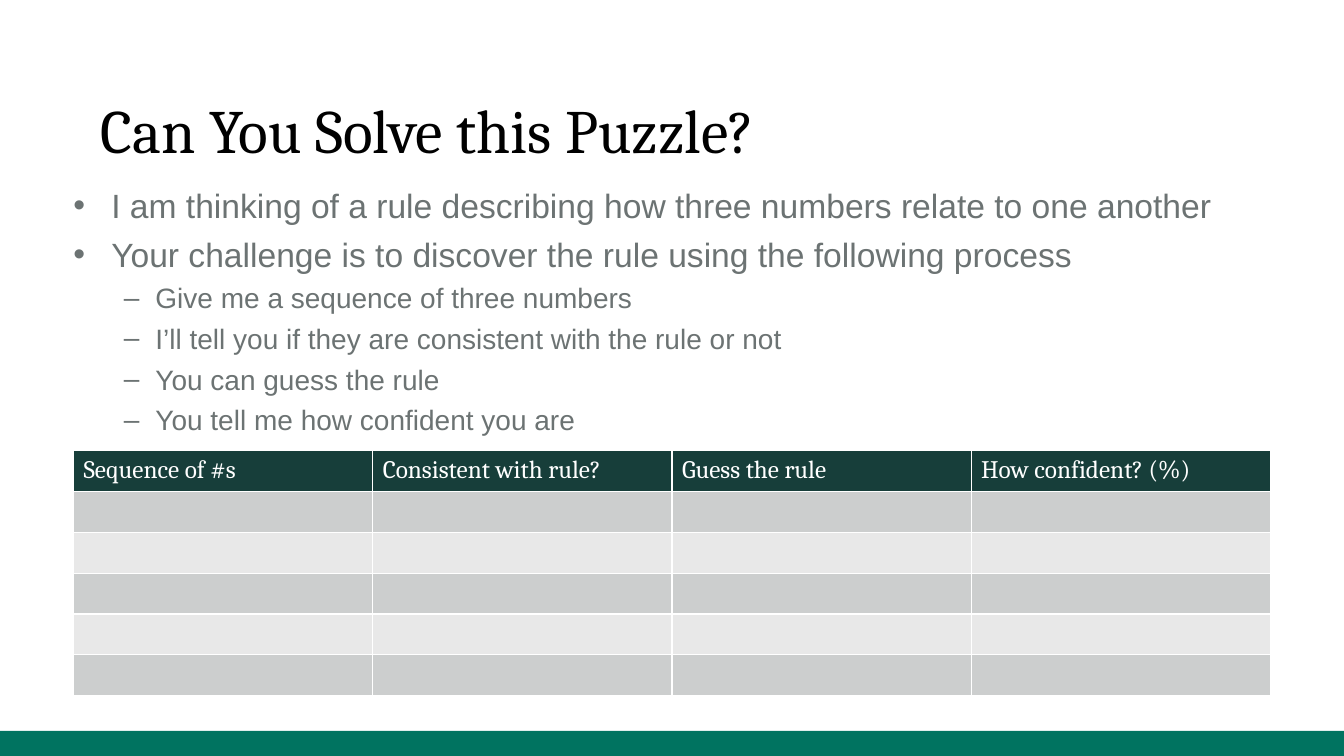
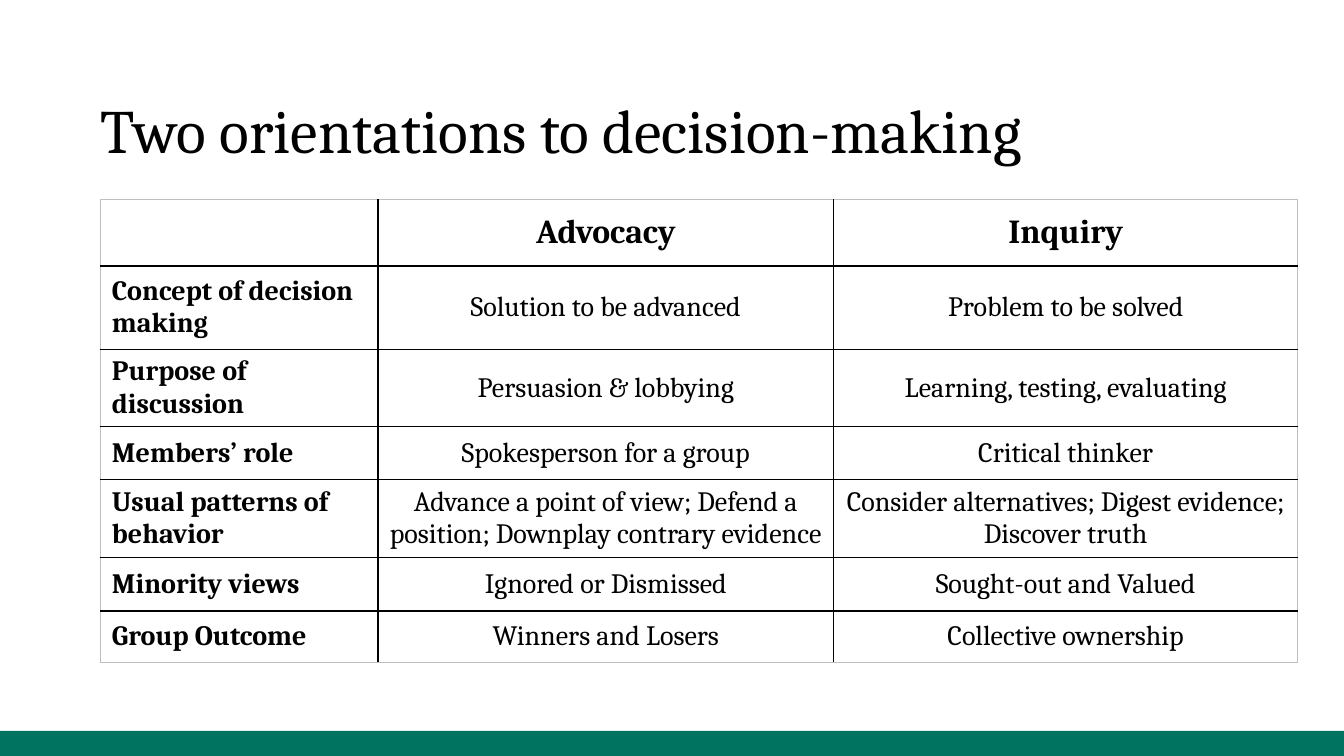
from dataclasses import dataclass

from lxml.etree import SubElement
from pptx import Presentation
from pptx.dml.color import RGBColor as RGB
from pptx.enum.shapes import MSO_SHAPE as SHAPE
from pptx.enum.text import MSO_ANCHOR as ANCHOR, PP_ALIGN as ALIGN
from pptx.oxml.ns import qn
from pptx.util import Pt


@dataclass(frozen=True)
class Theme:
    width: float = 960
    height: float = 540
    band_height: float = 18
    serif: str = "Cambria"
    sans: str = "Arial"
    title_size: float = 44
    large: float = 24
    medium: float = 20
    small: float = 18
    black: str = "000000"
    white: str = "FFFFFF"
    gray: str = "6C7373"
    band: str = "007360"
    header: str = "173E3A"
    stripes: tuple = ("CCCECE", "E8E8E8")
    frame: str = "BFBFBF"


T = Theme()


# Shared text and table helpers
def add_run(p, text, size, color, font=T.serif, bold=False):
    r = p.add_run()
    r.text = text
    r.font.name, r.font.size, r.font.bold = font, Pt(size), bold
    r.font.color.rgb = RGB.from_string(color)


def add_text_box(s, box, anchor=ANCHOR.TOP):
    tf = s.shapes.add_textbox(*map(Pt, box)).text_frame
    tf.margin_left = tf.margin_right = tf.margin_top = tf.margin_bottom = 0
    tf.word_wrap = True
    tf.vertical_anchor = anchor
    return tf


def set_bullet(p, char, left, hanging):
    pPr = p._p.get_or_add_pPr()
    pPr.set("marL", str(Pt(left)))
    pPr.set("indent", str(-Pt(hanging)))
    SubElement(pPr, qn("a:buFont"), typeface=T.sans)
    SubElement(pPr, qn("a:buChar"), char=char)


def set_borders(cell, left, right, top, bottom):
    """Each side is a (colour, width) pair; call before setting the fill."""
    tcPr = cell._tc.get_or_add_tcPr()
    for side, (color, width) in zip("LRTB", (left, right, top, bottom)):
        ln = SubElement(tcPr, qn(f"a:ln{side}"), w=str(Pt(width)))
        SubElement(SubElement(ln, qn("a:solidFill")), qn("a:srgbClr"), val=color)


def add_grid(s, left, top, widths, heights):
    size = len(heights), len(widths)
    box = left, top, sum(widths), sum(heights)
    table = s.shapes.add_table(*size, *map(Pt, box)).table
    table.first_row = table.horz_banding = False
    for column, width in zip(table.columns, widths):
        column.width = Pt(width)
    for row, height in zip(table.rows, heights):
        row.height = Pt(height)
    return table


# Base of every slide: bottom band and title
def add_base_slide(prs, title):
    s = prs.slides.add_slide(prs.slide_layouts[6])
    band = s.shapes.add_shape(SHAPE.RECTANGLE, 0, Pt(T.height - T.band_height),
                              Pt(T.width), Pt(T.band_height))
    band.shadow.inherit = False
    band.fill.solid()
    band.fill.fore_color.rgb = RGB.from_string(T.band)
    band.line.fill.background()
    p = add_text_box(s, (72, 0, 816, 119.5), ANCHOR.BOTTOM).paragraphs[0]
    p.line_spacing = 0.95
    add_run(p, title, T.title_size, T.black)
    return s


def add_bullets(s, box, items):
    levels = (("•", 27, 27, T.large, 6), ("–", 58.5, 22.5, T.medium, 5))
    tf = add_text_box(s, box)
    for i, (level, text) in enumerate(items):
        char, left, hanging, size, gap = levels[level]
        p = tf.add_paragraph() if i else tf.paragraphs[0]
        p.level = level
        p.space_before = Pt(gap if i else 0)
        set_bullet(p, char, left, hanging)
        add_run(p, text, size, T.gray, T.sans)


# Empty form with a dark header and striped rows
def add_answer_form(s, box, headings, blank_rows):
    left, top, width, height = box
    columns, rows = len(headings), blank_rows + 1
    table = add_grid(s, left, top, [width / columns] * columns, [height / rows] * rows)
    for i in range(rows):
        for j, heading in enumerate(headings):
            cell = table.cell(i, j)
            set_borders(cell, *[(T.white, 1)] * 4)
            cell.fill.solid()
            color = T.stripes[(i - 1) % 2] if i else T.header
            cell.fill.fore_color.rgb = RGB.from_string(color)
            if i == 0:
                add_run(cell.text_frame.paragraphs[0], heading, T.small, T.white)


# Comparison with black inner rules and a pale outer frame
def add_comparison(s, left, top, widths, heights, rows):
    table = add_grid(s, left, top, widths, heights)
    inner, outer = (T.black, 1), (T.frame, 0.5)
    last_row, last_col = len(heights) - 1, len(widths) - 1
    for i, row in enumerate(rows):
        for j, text in enumerate(row):
            cell = table.cell(i, j)
            edges = j == 0, j == last_col, i == 0, i == last_row
            set_borders(cell, *[outer if edge else inner for edge in edges])
            cell.fill.background()
            cell.margin_left = cell.margin_right = Pt(8)
            cell.margin_top = cell.margin_bottom = Pt(3.6)
            cell.vertical_anchor = ANCHOR.MIDDLE
            if text:
                p = cell.text_frame.paragraphs[0]
                p.alignment = ALIGN.CENTER if j else ALIGN.LEFT
                add_run(p, text, T.medium if i else T.large, T.black,
                        bold=i == 0 or j == 0)


def build_puzzle(prs):
    s = add_base_slide(prs, "Can You Solve this Puzzle?")
    add_bullets(s, (52.5, 132, 816, 180), [
        (0, "I am thinking of a rule describing how three numbers relate to one another"),
        (0, "Your challenge is to discover the rule using the following process"),
        (1, "Give me a sequence of three numbers"),
        (1, "I’ll tell you if they are consistent with the rule or not"),
        (1, "You can guess the rule"),
        (1, "You tell me how confident you are"),
    ])
    headings = ("Sequence of #s", "Consistent with rule?",
                "Guess the rule", "How confident? (%)")
    add_answer_form(s, (52.5, 322, 855, 175), headings, 5)


def build_orientations(prs):
    s = add_base_slide(prs, "Two orientations to decision-making")
    add_comparison(s, 72, 142.5, (198, 325.5, 331.5),
                   (47.5, 59.5, 53, 38, 53.5, 38.5, 36.5), [
        ("", "Advocacy", "Inquiry"),
        ("Concept of decision making", "Solution to be advanced", "Problem to be solved"),
        ("Purpose of discussion", "Persuasion & lobbying", "Learning, testing, evaluating"),
        ("Members’ role", "Spokesperson for a group", "Critical thinker"),
        ("Usual patterns of behavior",
         "Advance a point of view; Defend a position; Downplay contrary evidence",
         "Consider alternatives; Digest evidence; Discover truth"),
        ("Minority views", "Ignored or Dismissed", "Sought-out and Valued"),
        ("Group Outcome", "Winners and Losers", "Collective ownership"),
    ])


def main():
    prs = Presentation()
    prs.slide_width, prs.slide_height = Pt(T.width), Pt(T.height)
    build_puzzle(prs)
    build_orientations(prs)
    prs.save("out.pptx")


if __name__ == "__main__":
    main()
